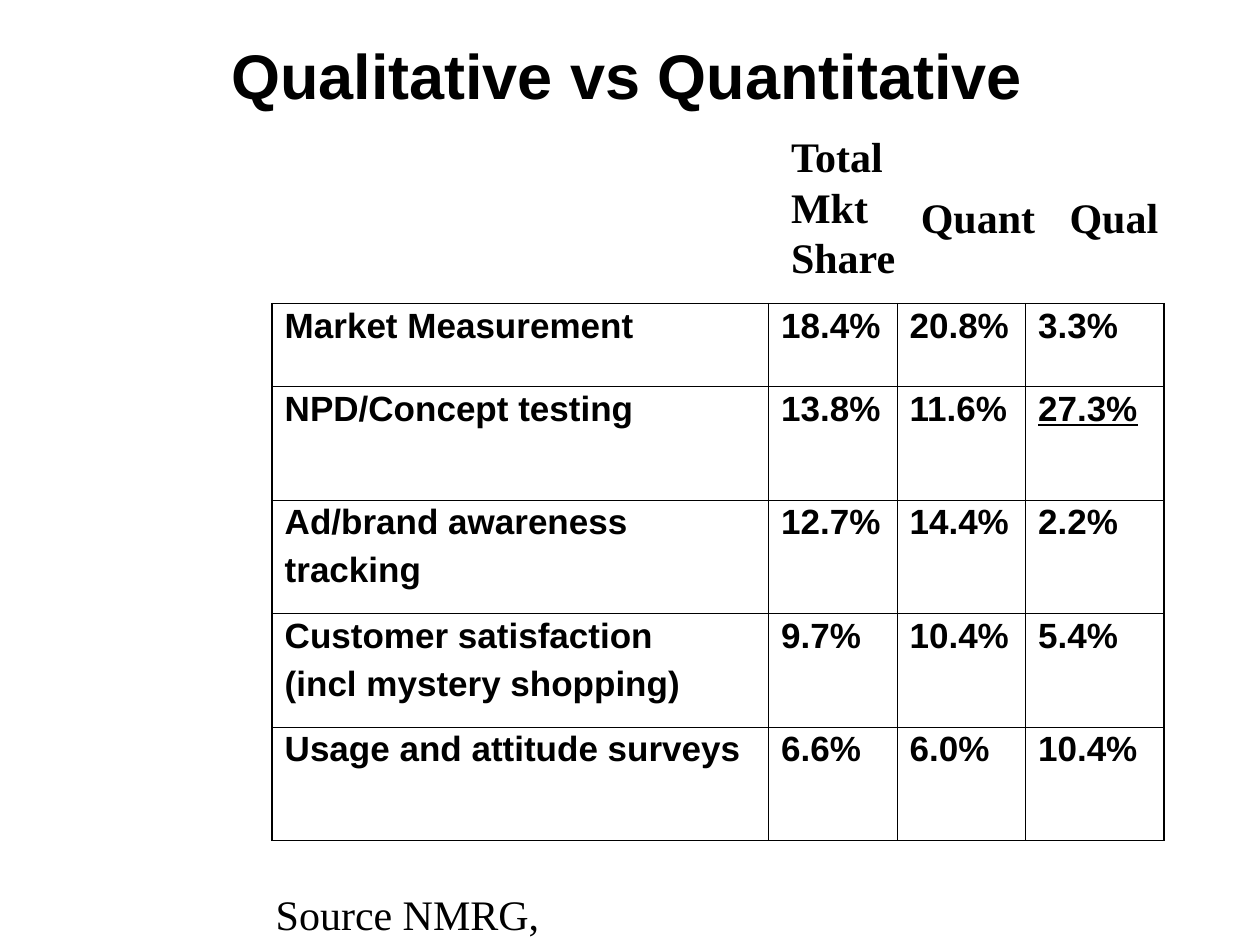
from dataclasses import dataclass

from lxml import etree
from pptx import Presentation
from pptx.dml.color import RGBColor
from pptx.enum.text import MSO_ANCHOR, MSO_AUTO_SIZE, PP_ALIGN
from pptx.oxml.ns import qn
from pptx.util import Inches, Pt

LEFT, CENTER = PP_ALIGN.LEFT, PP_ALIGN.CENTER
TOP, MIDDLE = MSO_ANCHOR.TOP, MSO_ANCHOR.MIDDLE
FIXED, GROW = MSO_AUTO_SIZE.NONE, MSO_AUTO_SIZE.SHAPE_TO_FIT_TEXT
BLACK = "000000"
OUTER_PT, INNER_PT = 1.08, 0.45
COLUMN_WIDTHS = (3.94, 1.02, 1.02, 1.1)
ROW_HEIGHTS = (0.66, 0.9, 0.9, 0.9, 0.9)


@dataclass
class Label:
    text: str
    left: float
    top: float
    width: float
    height: float
    size: float = 24
    font: str = "Times New Roman"
    bold: bool = True
    wrap: bool = True
    fit: MSO_AUTO_SIZE = GROW
    align: PP_ALIGN = LEFT
    anchor: MSO_ANCHOR = TOP
    spacing: float = 1.0


@dataclass
class Study:
    name: str
    total: str
    quant: str
    qual: str
    qual_underlined: bool = False


LABELS = [
    Label("Qualitative vs Quantitative", 1.06, 0, 7.83, 1.25, size=36, font="Arial",
          fit=FIXED, align=CENTER, anchor=MIDDLE, spacing=0.9),
    Label("Total\nMkt\nShare", 6.18, 0.99, 1.1, 1.3),
    Label("Quant", 7.21, 1.47, 1.11, 0.5, wrap=False),
    Label("Qual", 8.39, 1.47, 1.02, 0.5),
    Label("Source NMRG,", 2.09, 7, 2.5, 0.5, bold=False),
]

STUDIES = [
    Study("Market Measurement", "18.4%", "20.8%", "3.3%"),
    Study("NPD/Concept testing", "13.8%", "11.6%", "27.3%", qual_underlined=True),
    Study("Ad/brand awareness\ntracking", "12.7%", "14.4%", "2.2%"),
    Study("Customer satisfaction\n(incl mystery shopping)", "9.7%", "10.4%", "5.4%"),
    Study("Usage and attitude surveys", "6.6%", "6.0%", "10.4%"),
]


def rgb(value: str) -> RGBColor:
    return RGBColor.from_string(value)


def format_runs(paragraph, size: float, font: str, bold: bool) -> None:
    for run in paragraph.runs:
        run.font.size = Pt(size)
        run.font.name = font
        run.font.bold = bold
        run.font.color.rgb = rgb(BLACK)


def add_label(slide, label: Label) -> None:
    box = slide.shapes.add_textbox(Inches(label.left), Inches(label.top),
                                   Inches(label.width), Inches(label.height))
    frame = box.text_frame
    frame.word_wrap = label.wrap
    frame.auto_size = label.fit
    frame.vertical_anchor = label.anchor
    frame.text = label.text
    for paragraph in frame.paragraphs:
        paragraph.alignment = label.align
        paragraph.line_spacing = label.spacing
        format_runs(paragraph, label.size, label.font, label.bold)


def set_borders(cell, widths: dict[str, float]) -> None:
    """Draw the cell's edges; they must precede the fill in the cell properties."""
    properties = cell._tc.get_or_add_tcPr()
    for position, (edge, width) in enumerate(widths.items()):
        line = etree.Element(qn(f"a:{edge}"), w=str(int(Pt(width))))
        fill = etree.SubElement(line, qn("a:solidFill"))
        etree.SubElement(fill, qn("a:srgbClr"), val=BLACK)
        properties.insert(position, line)


def fill_cell(cell, text: str, underlined: bool) -> None:
    cell.fill.background()
    cell.text_frame.text = text
    for paragraph in cell.text_frame.paragraphs:
        paragraph.line_spacing = 0.9
        paragraph.space_before = Pt(7.5)
        format_runs(paragraph, 20, "Arial", True)
        for run in paragraph.runs:
            run.font.underline = underlined


def add_share_table(slide, studies: list[Study]) -> None:
    last_row, last_column = len(ROW_HEIGHTS) - 1, len(COLUMN_WIDTHS) - 1
    table = slide.shapes.add_table(
        len(ROW_HEIGHTS), len(COLUMN_WIDTHS), Inches(2.16), Inches(2.41),
        Inches(sum(COLUMN_WIDTHS)), Inches(sum(ROW_HEIGHTS))).table
    table.first_row = table.horz_banding = False
    for column, width in zip(table.columns, COLUMN_WIDTHS):
        column.width = Inches(width)
    for row, height in zip(table.rows, ROW_HEIGHTS):
        row.height = Inches(height)

    for r, study in enumerate(studies):
        values = (study.name, study.total, study.quant, study.qual)
        for c, value in enumerate(values):
            cell = table.cell(r, c)
            fill_cell(cell, value, study.qual_underlined and c == last_column)
            on_outside = {"lnL": c == 0, "lnR": c == last_column,
                          "lnT": r == 0, "lnB": r == last_row}
            set_borders(cell, {edge: OUTER_PT if outer else INNER_PT
                               for edge, outer in on_outside.items()})


def main() -> None:
    deck = Presentation()
    deck.slide_width, deck.slide_height = Inches(10), Inches(7.5)
    slide = deck.slides.add_slide(deck.slide_layouts[6])
    add_share_table(slide, STUDIES)
    for label in LABELS:
        add_label(slide, label)
    deck.save("out.pptx")


if __name__ == "__main__":
    main()
